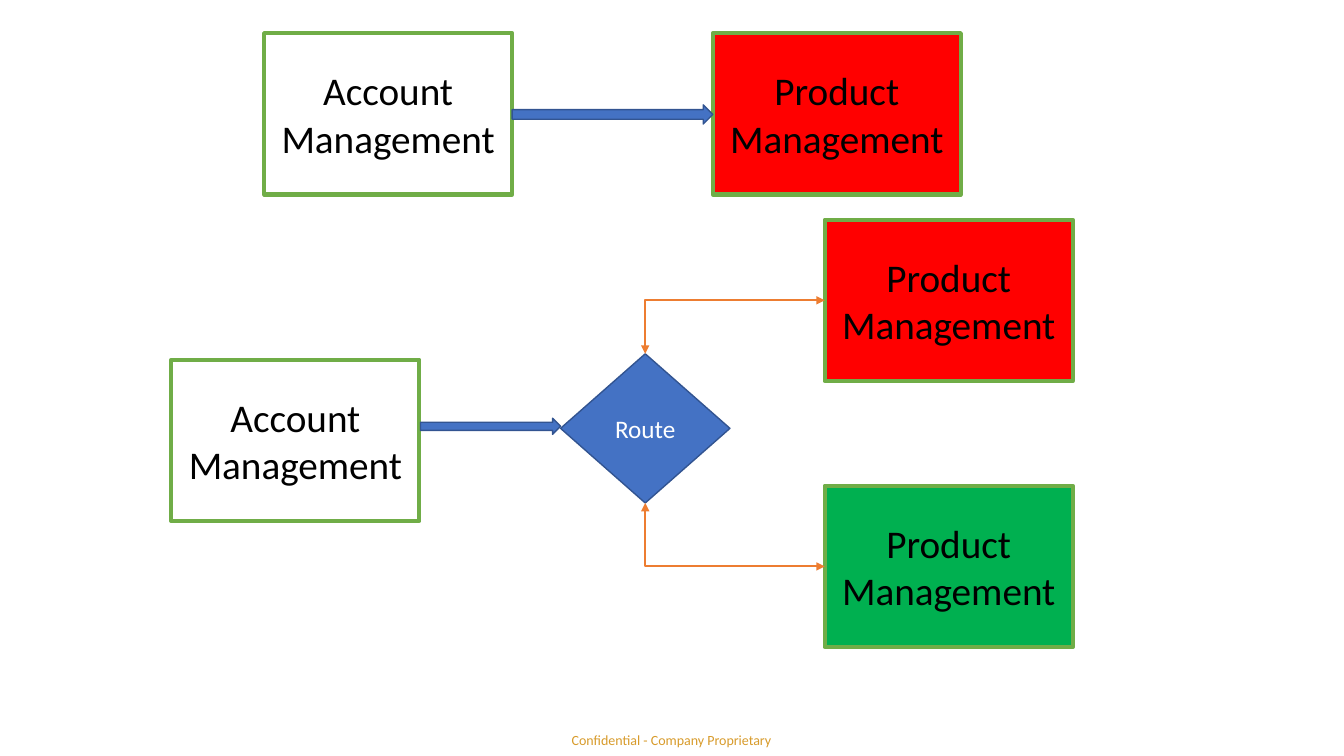
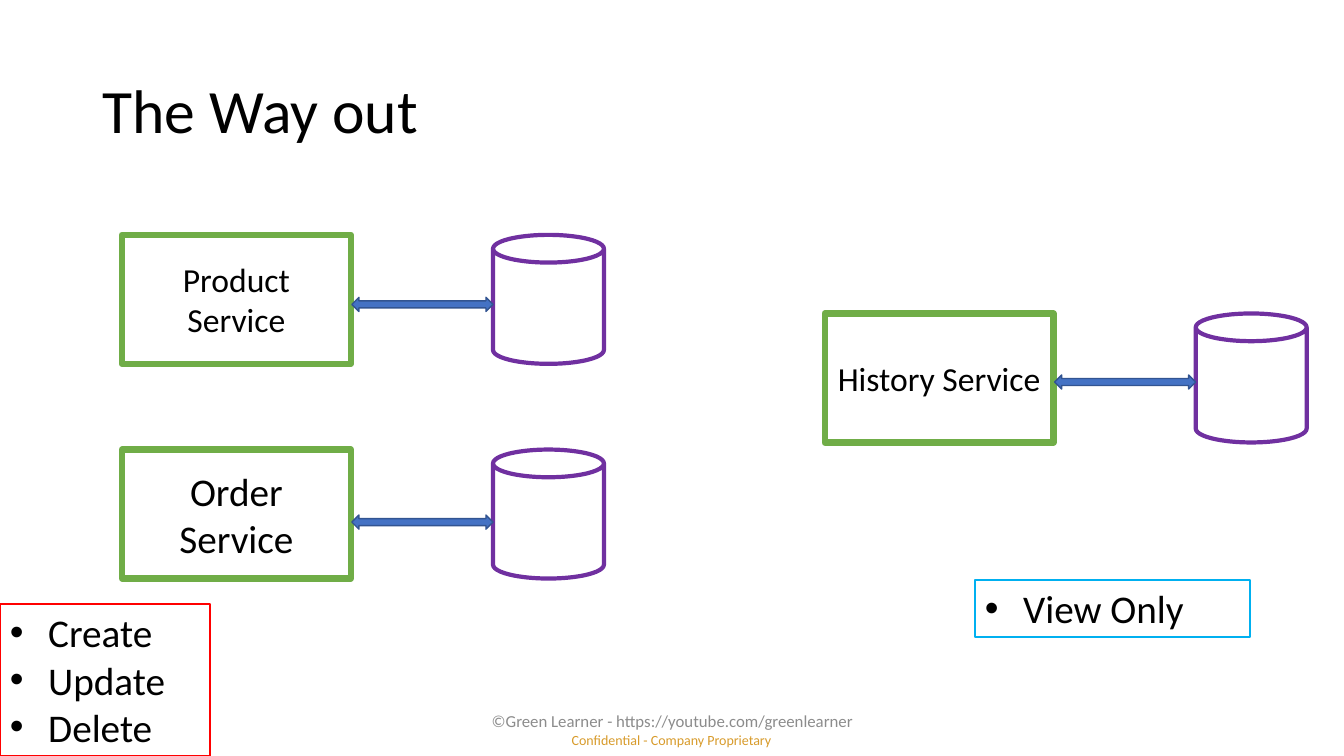
"""Build two slides on routing and on splitting services."""
import pptx
import pptx.dml.color
import pptx.enum.shapes
import pptx.enum.text
import pptx.oxml.ns
import pptx.util
from lxml import etree

PX = 9144
FONT = "Calibri"
COLORS = {
    "white": "FFFFFF", "black": "000000", "gray": "8C8C8C", "gold": "D89B2B",
    "red": "FF0000", "green": "00B050", "leaf": "70AD47", "blue": "4472C4",
    "navy": "325491", "sky": "00B0F0", "orange": "ED7D31", "purple": "7030A0",
}
SHAPE = pptx.enum.shapes.MSO_SHAPE
ALIGN = pptx.enum.text.PP_ALIGN
ANCHOR = pptx.enum.text.MSO_ANCHOR


def px(*sizes):
    return [pptx.util.Emu(size * PX) for size in sizes]


def color(name):
    return pptx.dml.color.RGBColor.from_string(COLORS[name])


def child(parent, tag, **attrs):
    return etree.SubElement(parent, pptx.oxml.ns.qn(tag), attrs)


def write(shape, text, size=28, ink="black", align=ALIGN.CENTER,
          anchor=ANCHOR.MIDDLE, inset=None, wrap=True, bullet=False, lead=None):
    frame = shape.text_frame
    frame.word_wrap = wrap
    frame.vertical_anchor = anchor
    if inset is not None:
        frame.margin_left = frame.margin_right = inset
        frame.margin_top = frame.margin_bottom = inset
    frame.text = text
    for para in frame.paragraphs:
        para.alignment = align
        if lead:
            para.line_spacing = lead
        if bullet:
            props = para._p.get_or_add_pPr()
            indent = px(38)[0]
            props.set("marL", str(indent))
            props.set("indent", str(-indent))
            child(props, "a:buFont", typeface="Arial")
            child(props, "a:buChar", char="•")
        para.font.name = FONT
        para.font.size = pptx.util.Pt(size)
        para.font.color.rgb = color(ink)


def draw(slide, kind, at, fill, line, width):
    shape = slide.shapes.add_shape(kind, *px(*at))
    shape.shadow.inherit = False
    if fill:
        shape.fill.solid()
        shape.fill.fore_color.rgb = color(fill)
    else:
        shape.fill.background()
    shape.line.color.rgb = color(line)
    shape.line.width = pptx.util.Pt(width)
    return shape


def label(slide, at, text, **style):
    write(slide.shapes.add_textbox(*px(*at)), text, **style)


def module(slide, x, y, text, fill="white"):
    box = draw(slide, SHAPE.RECTANGLE, (x, y, 246, 160), fill, "leaf", 3)
    write(box, text)
    return box


def arrow(slide, kind, *at):
    return draw(slide, kind, at, "blue", "navy", 1)


def elbow(slide, box, node, site):
    kind = pptx.enum.shapes.MSO_CONNECTOR.ELBOW
    link = slide.shapes.add_connector(kind, 0, 0, 0, 0)
    link.begin_connect(box, 1)
    link.end_connect(node, site)
    link.line.color.rgb = color("orange")
    link.line.width = pptx.util.Pt(1.5)
    props = link._element.spPr
    props.find(pptx.oxml.ns.qn("a:prstGeom")).set("prst", "bentConnector2")
    for tag in ("a:headEnd", "a:tailEnd"):
        child(link.line._get_or_add_ln(), tag, type="triangle")
    child(props, "a:effectLst")


def service(slide, x, y, text, size, drop):
    box = draw(slide, SHAPE.RECTANGLE, (x, y, 227, 128), "white", "leaf", 4.5)
    write(box, text, size=size)
    draw(slide, SHAPE.CAN, (x + 368, y, 110, 128), "white", "purple", 3)
    arrow(slide, SHAPE.LEFT_RIGHT_ARROW, x + 228, y + drop, 140, 14)


def bullets(slide, at, text, line):
    box = draw(slide, SHAPE.RECTANGLE, at, None, line, 1.5)
    write(box, text, align=ALIGN.LEFT, anchor=ANCHOR.TOP, bullet=True)


def page(deck):
    slide = deck.slides.add_slide(deck.slide_layouts[6])
    label(slide, (567, 726, 202, 17), "Confidential - Company Proprietary",
          size=10, ink="gold", align=ALIGN.LEFT, anchor=ANCHOR.TOP,
          inset=0, wrap=False)
    return slide


def routing(deck):
    slide = page(deck)
    account, product = "Account Management", "Product Management"
    module(slide, 707, 33, product, "red")
    module(slide, 262, 33, account)
    arrow(slide, SHAPE.RIGHT_ARROW, 508, 104, 199, 19)
    module(slide, 170, 357, account)
    route = arrow(slide, SHAPE.DIAMOND, 556, 351, 168, 148)
    write(route, "Route", size=18, ink="white")
    arrow(slide, SHAPE.RIGHT_ARROW, 417, 415, 139, 16)
    for y, fill, site in ((218, "red", 0), (482, "green", 2)):
        elbow(slide, module(slide, 818, y, product, fill), route, site)


def split(deck):
    slide = page(deck)
    label(slide, (92, 40, 1150, 145), "The Way out",
          size=44, align=ALIGN.LEFT, lead=0.9)
    label(slide, (442, 695, 450, 40),
          "©Green Learner - https://youtube.com/greenlearner",
          size=12, ink="gray")
    service(slide, 121, 233, "Product Service", 24, 62)
    service(slide, 121, 446, "Order Service", 28, 65)
    service(slide, 818, 311, "History Service", 24, 61)
    bullets(slide, (0, 599, 208, 151), "Create\nUpdate\nDelete", "red")
    bullets(slide, (967, 575, 273, 57), "View Only", "sky")


def main():
    deck = pptx.Presentation()
    deck.slide_width, deck.slide_height = px(1333, 750)
    routing(deck)
    split(deck)
    deck.save("out.pptx")


if __name__ == "__main__":
    main()
